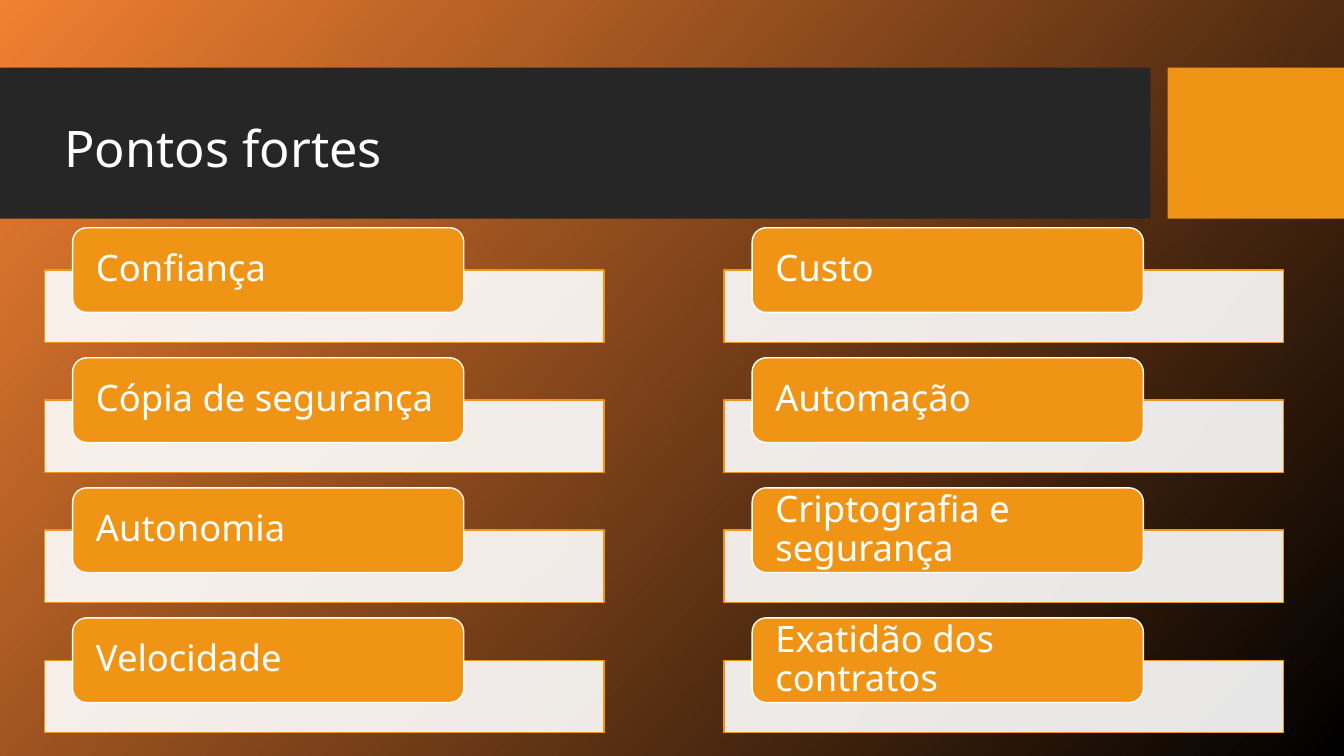
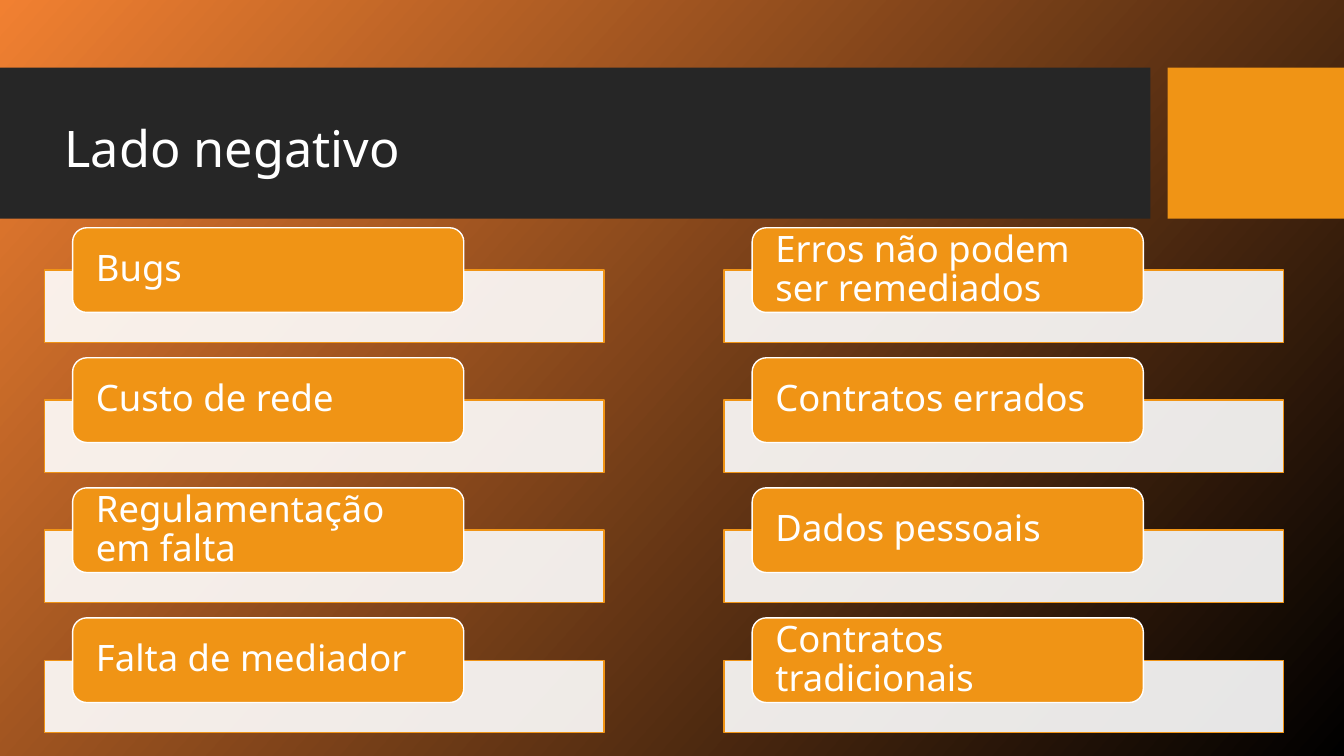
from lxml import etree
from pptx import Presentation
from pptx.dml.color import RGBColor
from pptx.enum.shapes import MSO_SHAPE as SHAPE
from pptx.enum.text import MSO_ANCHOR as ANCHOR, PP_ALIGN as ALIGN
from pptx.oxml.ns import qn
from pptx.util import Inches, Pt

COLORS = {
    "glow": "F18031",
    "night": "000000",
    "band": "262626",
    "accent": "F09415",
    "white": "FFFFFF",
}
FONT = "Noto Sans"

COLUMN_LEFTS = (0.44, 7.18)
ROW_TOP, ROW_PITCH = 2.26, 1.29
BAR_W, BAR_H, BAR_DROP = 5.55, 0.72, 0.42
LABEL_W, LABEL_H, LABEL_INDENT = 3.88, 0.84, 0.28

SLIDES = [
    ("Pontos fortes", [
        ["Confiança", "Cópia de segurança", "Autonomia", "Velocidade"],
        ["Custo", "Automação", "Criptografia e segurança",
         "Exatidão dos contratos"],
    ]),
    ("Lado negativo", [
        ["Bugs", "Custo de rede", "Regulamentação em falta",
         "Falta de mediador"],
        ["Erros não podem ser remediados", "Contratos errados",
         "Dados pessoais", "Contratos tradicionais"],
    ]),
]


def rgb(name):
    return RGBColor.from_string(COLORS[name])


def add_box(s, kind, left, top, width, height, fill, line=None, alpha=None):
    sp = s.shapes.add_shape(kind, Inches(left), Inches(top),
                            Inches(width), Inches(height))
    sp.shadow.inherit = False
    sp.fill.solid()
    sp.fill.fore_color.rgb = rgb(fill)
    if alpha is not None:
        color = sp.fill._xPr.find(qn("a:solidFill")).find(qn("a:srgbClr"))
        etree.SubElement(color, qn("a:alpha"), val=str(alpha * 1000))
    if line:
        sp.line.color.rgb = rgb(line)
        sp.line.width = Pt(1)
    else:
        sp.line.fill.background()
    return sp


def write(sp, text, size, inset_x, inset_y):
    tf = sp.text_frame
    tf.word_wrap = True
    tf.vertical_anchor = ANCHOR.MIDDLE
    tf.margin_left = tf.margin_right = Inches(inset_x)
    tf.margin_top = tf.margin_bottom = Inches(inset_y)
    tf.text = text
    p = tf.paragraphs[0]
    p.alignment = ALIGN.LEFT
    p.line_spacing = 0.9
    font = p.runs[0].font
    font.name = FONT
    font.size = Pt(size)
    font.color.rgb = rgb("white")


def paint_background(s):
    fill = s.background.fill
    fill.gradient()
    fill.gradient_angle = 318
    for stop, name in zip(fill.gradient_stops, ("glow", "night")):
        stop.color.rgb = rgb(name)


def add_header(s, title):
    add_box(s, SHAPE.RECTANGLE, 0, 0.67, 11.41, 1.5, "band")
    add_box(s, SHAPE.RECTANGLE, 11.58, 0.67, 1.75, 1.5, "accent")
    sp = s.shapes.add_textbox(Inches(0.54), Inches(0.75),
                              Inches(8.91), Inches(1.5))
    write(sp, title, 36, 0.1, 0.05)


def add_list_item(s, left, top, text):
    add_box(s, SHAPE.RECTANGLE, left, top + BAR_DROP, BAR_W, BAR_H,
            "white", "accent", alpha=90)
    label = add_box(s, SHAPE.ROUNDED_RECTANGLE, left + LABEL_INDENT, top,
                    LABEL_W, LABEL_H, "accent", "white")
    write(label, text, 26, 0.19, 0.04)


def add_list_slide(prs, title, columns):
    s = prs.slides.add_slide(prs.slide_layouts[6])
    paint_background(s)
    add_header(s, title)
    for left, items in zip(COLUMN_LEFTS, columns):
        for row, text in enumerate(items):
            add_list_item(s, left, ROW_TOP + row * ROW_PITCH, text)


def main():
    prs = Presentation()
    prs.slide_width = Inches(13.33)
    prs.slide_height = Inches(7.5)
    for title, columns in SLIDES:
        add_list_slide(prs, title, columns)
    prs.save("out.pptx")


main()
